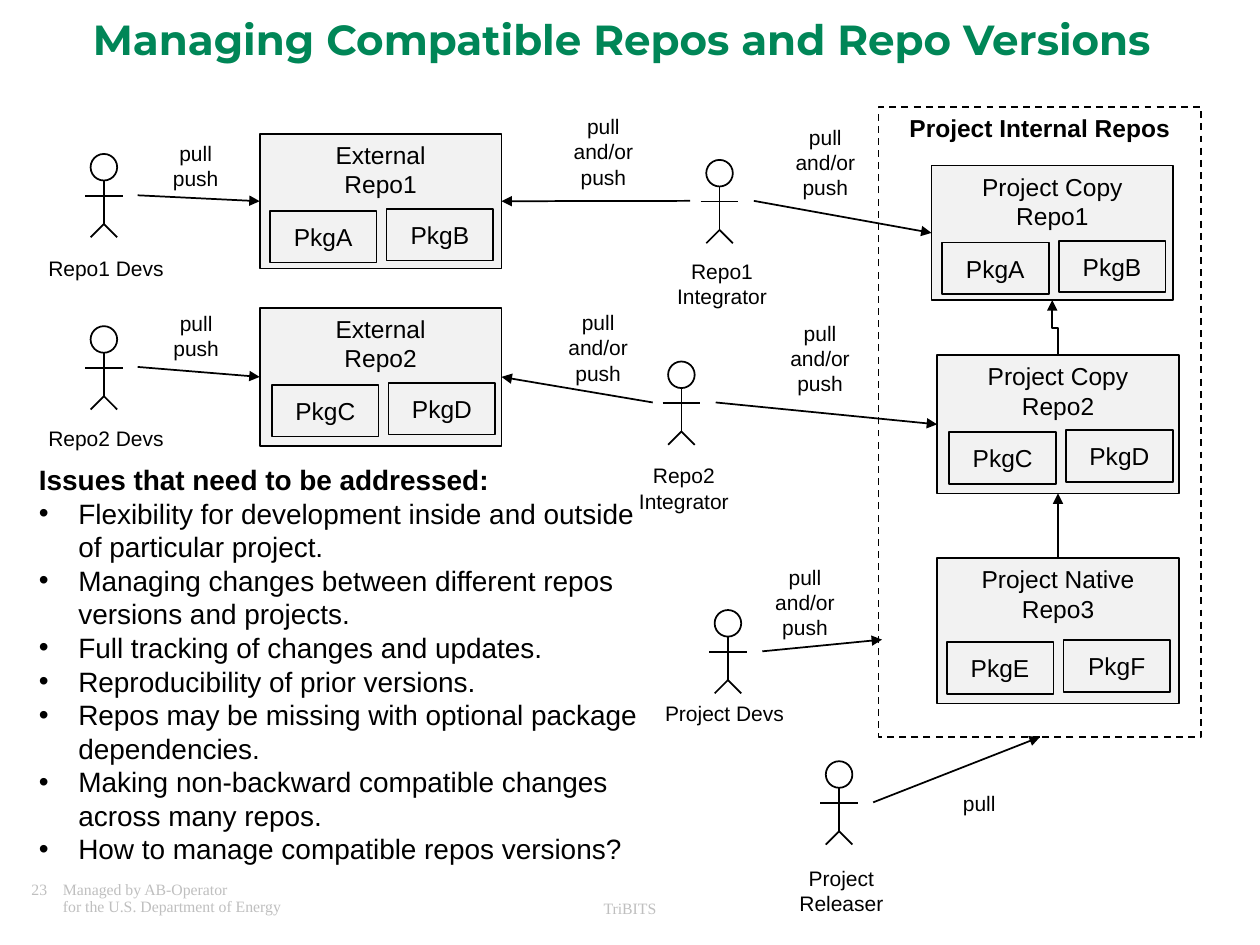
from dataclasses import dataclass
from lxml.etree import SubElement
from pptx import Presentation
from pptx.dml.color import RGBColor as RGB
from pptx.enum.dml import MSO_LINE
from pptx.enum.shapes import MSO_CONNECTOR as CONN, MSO_SHAPE as SHAPE
from pptx.enum.text import MSO_ANCHOR as ANCHOR, PP_ALIGN as ALIGN
from pptx.oxml.ns import qn
from pptx.util import Pt


@dataclass(frozen=True)
class Theme:
    ink: RGB = RGB(0, 0, 0)
    title: RGB = RGB(0x00, 0x86, 0x57)
    footer: RGB = RGB(0xBF, 0xBF, 0xBF)
    box: RGB = RGB(0xF2, 0xF2, 0xF2)
    sans: str = "Arial"
    display: str = "Montserrat"
    serif: str = "Times New Roman"
    title_size: int = 24
    body_size: int = 16
    box_size: int = 14
    label_size: int = 12
    footer_size: int = 9


T = Theme()


def write(sp, lines, size, color=T.ink, font=T.sans, bold=False, align=ALIGN.CENTER, anchor=ANCHOR.TOP):
    tf = sp.text_frame
    tf.word_wrap = True
    tf.vertical_anchor = anchor
    for i, line in enumerate(lines):
        p = tf.paragraphs[0] if i == 0 else tf.add_paragraph()
        p.alignment = align
        r = p.add_run()
        r.text = line
        r.font.size, r.font.name, r.font.bold = Pt(size), font, bold
        r.font.color.rgb = color
    return tf


def connect(shapes, x1, y1, x2, y2, arrow=False, kind=CONN.STRAIGHT):
    c = shapes.add_connector(kind, Pt(x1), Pt(y1), Pt(x2), Pt(y2))
    c.line.color.rgb = T.ink
    c.line.width = Pt(1)
    if arrow:
        SubElement(c.line._get_or_add_ln(), qn("a:tailEnd"), type="triangle")
    SubElement(c._element.spPr, qn("a:effectLst"))
    return c


prs = Presentation()
prs.slide_width, prs.slide_height = Pt(720), Pt(540)
s = prs.slides.add_slide(prs.slide_layouts[6])

sp = s.shapes.add_textbox(Pt(18), Pt(504), Pt(222), Pt(24))
tf = write(sp, ["23\tManaged by AB-Operator"], T.footer_size, T.footer, T.serif, align=ALIGN.LEFT)
tf.margin_left = tf.margin_right = tf.margin_top = tf.margin_bottom = 0
p = tf.paragraphs[0]
p.line_spacing = 0.9
tabs = SubElement(p._p.get_or_add_pPr(), qn("a:tabLst"))
SubElement(tabs, qn("a:tab"), pos=str(Pt(18)), algn="l")
p.add_line_break()
r = p.add_run()
r.text = "\tfor the U.S. Department of Energy"
r.font.size, r.font.name = Pt(T.footer_size), T.serif
r.font.color.rgb = T.footer

sp = s.shapes.add_textbox(Pt(246), Pt(510), Pt(228), Pt(14.4))
write(sp, ["TriBITS"], T.footer_size, T.footer, T.serif)

sp = s.shapes.add_textbox(0, Pt(7.2), Pt(710.6), Pt(30.2))
write(sp, ["Managing Compatible Repos and Repo Versions"], T.title_size, T.title, T.display,
      bold=True, anchor=ANCHOR.MIDDLE)

repos = [
    ("External", "Repo1", 148.4, 76.5, 77, "AB", 5.8, 44),
    ("External", "Repo2", 148.4, 175.9, 79, "CD", 7, 44),
    ("Project Native", "Repo3", 535.5, 319, 83, "EF", 5.5, 48),
    ("Project Copy", "Repo1", 532.3, 94.6, 77, "AB", 6, 44),
    ("Project Copy", "Repo2", 535.5, 203, 79, "CD", 7, 44),
]
boxes = {}
for owner, repo, x, y, h, packages, dx, dy in repos:
    parts = [([owner, repo], x, y, 138.2, h, ANCHOR.TOP)]
    for i, letter in enumerate(packages):
        parts.append(([f"Pkg{letter}"], x + dx + 66.7 * i, y + dy - 1.1 * i, 61, 29.5, ANCHOR.MIDDLE))
    for lines, left, top, width, height, anchor in parts:
        sp = s.shapes.add_shape(SHAPE.RECTANGLE, Pt(left), Pt(top), Pt(width), Pt(height))
        sp.shadow.inherit = False
        sp.fill.solid()
        sp.fill.fore_color.rgb = T.box
        sp.line.color.rgb = T.ink
        sp.line.width = Pt(1)
        write(sp, lines, T.box_size, anchor=anchor)
        boxes.setdefault((owner, repo), sp)

internal = s.shapes.add_shape(SHAPE.RECTANGLE, Pt(502), Pt(61.2), Pt(184.4), Pt(360))
internal.shadow.inherit = False
internal.fill.background()
internal.line.color.rgb = T.ink
internal.line.width = Pt(1)
internal.line.dash_style = MSO_LINE.DASH
write(internal, ["Project Internal Repos"], T.box_size, bold=True)

ext1, ext2 = boxes["External", "Repo1"], boxes["External", "Repo2"]
copy1, copy2 = boxes["Project Copy", "Repo1"], boxes["Project Copy", "Repo2"]
native = boxes["Project Native", "Repo3"]

elbow = connect(s.shapes, 587.2, 188.9, 618.6, 185.7, True, CONN.ELBOW)
elbow._element.spPr.find(qn("a:xfrm")).set("rot", str(270 * 60000))
c = connect(s.shapes, 604.6, 319, 604.6, 282, True)
c.begin_connect(native, 0)
c.end_connect(copy2, 2)

connect(s.shapes, 435.6, 372.2, 504, 365.5, True)
for x, y, target, site in [
    (78.7, 111.6, ext1, 1),
    (78.7, 209.7, ext2, 1),
    (394.4, 114.8, ext1, 3),
    (373, 230, ext2, 3),
    (430.8, 114.8, copy1, 1),
    (409, 230, copy2, 1),
    (499, 458.5, internal, 2),
]:
    c = connect(s.shapes, x, y, x + 50, y, True)
    c.end_connect(target, site)

for cx, top in [(59.4, 88), (59.4, 186.4), (411.2, 91.4), (389.4, 206.6), (416, 348.6), (479.5, 435)]:
    person = s.shapes.add_group_shape().shapes
    head = person.add_shape(SHAPE.OVAL, Pt(cx - 7.6), Pt(top), Pt(15.2), Pt(15.2))
    head.shadow.inherit = False
    head.fill.background()
    head.line.color.rgb = T.ink
    head.line.width = Pt(1)
    hip, foot = top + 40, top + 47.6
    connect(person, cx, top + 15.2, cx, hip)
    connect(person, cx - 10.8, top + 23.8, cx + 10.8, top + 23.8)
    for side in (-1, 1):
        connect(person, cx, hip, cx + 7.6 * side, foot)

pull_push = ["pull", "push"]
pull_and_or_push = ["pull", "and/or", "push"]
for x, y, lines in [
    (12.4, 142.6, ["Repo1 Devs"]),
    (12.4, 239.4, ["Repo2 Devs"]),
    (364.4, 144.2, ["Repo1 Integrator"]),
    (342.6, 261, ["Repo2 Integrator"]),
    (365.8, 397, ["Project Devs"]),
    (432.6, 491.2, ["Project Releaser"]),
    (63.6, 76.5, pull_push),
    (63.9, 173.7, pull_push),
    (296.6, 61.4, pull_and_or_push),
    (423.4, 67.6, pull_and_or_push),
    (293.6, 173.4, pull_and_or_push),
    (420.4, 179.4, pull_and_or_push),
    (411.8, 319, pull_and_or_push),
    (511.4, 448, ["pull"]),
]:
    sp = s.shapes.add_textbox(Pt(x), Pt(y), Pt(96.4), Pt(7.2 + 14.5 * len(lines)))
    write(sp, lines, T.label_size)

sp = s.shapes.add_textbox(Pt(15.2), Pt(260.8), Pt(371.5), Pt(240))
tf = write(sp, [
    "Issues that need to be addressed:",
    "Flexibility for development inside and outside of particular project.",
    "Managing changes between different repos versions and projects.",
    "Full tracking of changes and updates.",
    "Reproducibility of prior versions.",
    "Repos may be missing with optional package dependencies.",
    "Making non-backward compatible changes across many repos.",
    "How to manage compatible repos versions?",
], T.body_size, align=ALIGN.LEFT)
tf.paragraphs[0].runs[0].font.bold = True
for p in tf.paragraphs[1:]:
    pPr = p._p.get_or_add_pPr()
    pPr.set("marL", str(Pt(22.5)))
    pPr.set("indent", str(-Pt(22.5)))
    SubElement(pPr, qn("a:buFont"), typeface=T.sans)
    SubElement(pPr, qn("a:buChar"), char="•")

prs.save("out.pptx")
